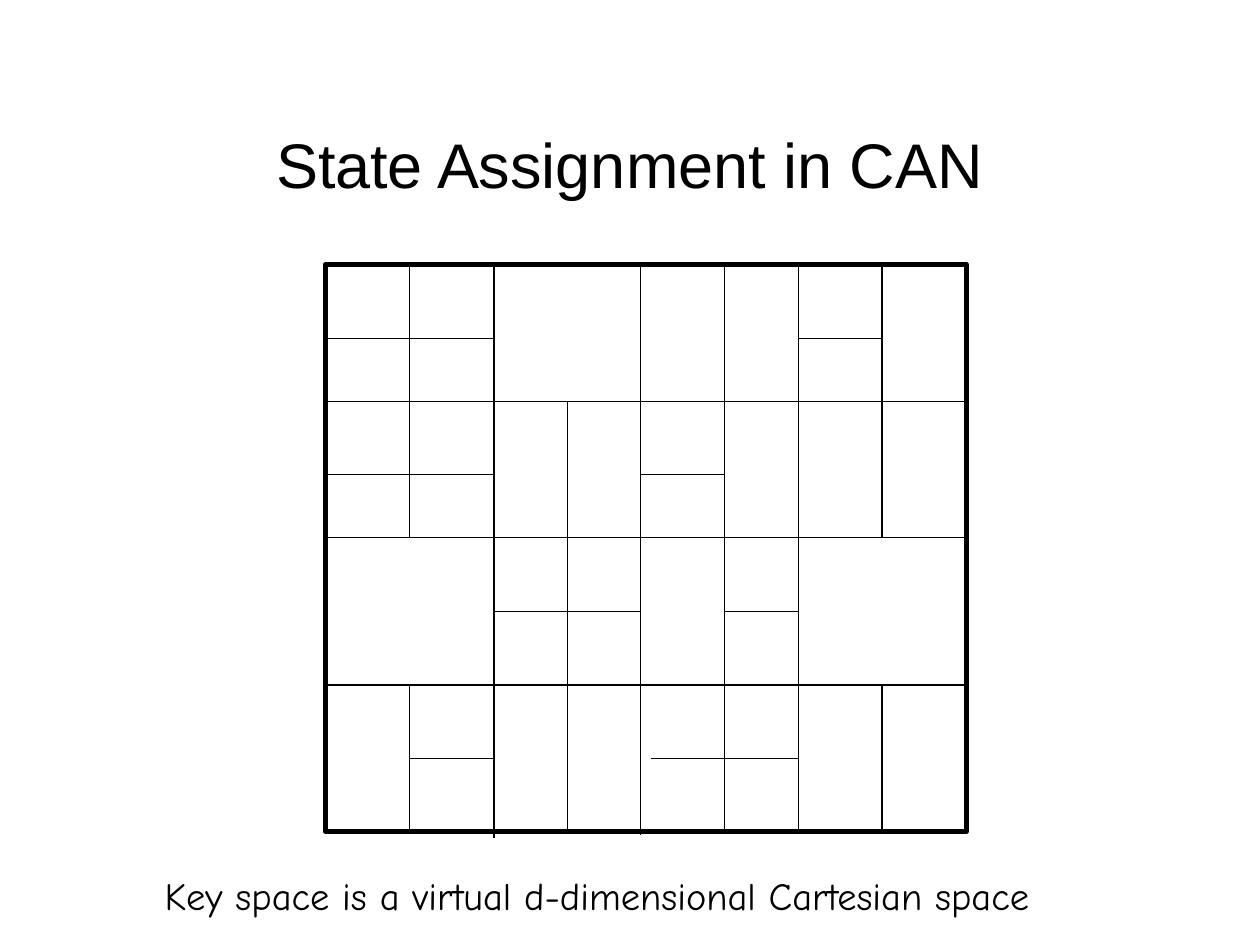
import pptx
import pptx.util
import pptx.dml.color
import pptx.enum.shapes
import pptx.enum.text
import pptx.oxml.ns
from lxml import etree
from pptx.util import Cm, Pt

BLACK = "000000"

# Grid positions in cm, measured from the top left corner of the key space
COLUMNS = [0, 1.7, 3.4, 4.88, 6.35, 8.05, 9.53, 11.22, 12.92]
ROWS = [0, 1.5, 2.77, 4.24, 5.51, 6.99, 8.48, 9.96, 11.43]

# (column, first row, last row, cm added to the start, cm added to the end)
VERTICAL_SPLITS = [
    (4, 0, 8, -0.05, 0.08), (6, 0, 8, 0, 0), (2, 0, 8, 0, 0.13),
    (1, 0, 2, 0, 0), (5, 0, 2, 0, 0), (7, 0, 2, 0, 0),
    (1, 2, 4, 0, 0), (3, 2, 4, 0, 0), (5, 2, 4, 0, 0), (7, 2, 4, 0, 0),
    (3, 4, 6, 0, 0), (5, 4, 6, 0, 0.64),
    (1, 6, 8, 0, 0), (3, 6, 8, 0, 0), (5, 6, 8, 0, 0), (7, 6, 8, 0, 0),
]
# (row, first column, last column, cm added to the start)
HORIZONTAL_SPLITS = [
    (2, 0, 8, 0), (4, 0, 8, 0), (6, 0, 8, 0),
    (1, 0, 2, 0), (1, 6, 7, 0), (3, 0, 2, 0), (3, 4, 5, 0),
    (5, 2, 4, 0), (5, 5, 6, 0), (7, 1, 2, 0), (7, 4, 6, 0.22),
]


def color(hex_value):
    return pptx.dml.color.RGBColor.from_string(hex_value)


def add_text(slide, box, text, font, size, align, wrap):
    left, top, width, height = box
    frame = slide.shapes.add_textbox(Cm(left), Cm(top), Cm(width), Cm(height)).text_frame
    frame.word_wrap = wrap
    frame.vertical_anchor = pptx.enum.text.MSO_ANCHOR.MIDDLE
    paragraph = frame.paragraphs[0]
    paragraph.alignment = align
    run = paragraph.add_run()
    run.text = text
    run.font.name = font
    run.font.size = Pt(size)
    run.font.color.rgb = color(BLACK)


def add_split(group, x1, y1, x2, y2):
    split = group.shapes.add_connector(
        pptx.enum.shapes.MSO_CONNECTOR.STRAIGHT, Cm(x1), Cm(y1), Cm(x2), Cm(y2))
    split.line.color.rgb = color(BLACK)
    split.line.width = Pt(0.75)
    etree.SubElement(split._element.spPr, pptx.oxml.ns.qn("a:effectLst"))


def add_key_space(slide, left, top):
    """Draw the outer zone and the lines that split it among the nodes."""
    group = slide.shapes.add_group_shape()
    zone = group.shapes.add_shape(
        pptx.enum.shapes.MSO_SHAPE.RECTANGLE,
        Cm(left), Cm(top), Cm(COLUMNS[-1]), Cm(ROWS[-1]))
    zone.shadow.inherit = False
    zone.fill.background()
    zone.line.color.rgb = color(BLACK)
    zone.line.width = Pt(3)

    for column, first, last, lead, tail in VERTICAL_SPLITS:
        x = left + COLUMNS[column]
        add_split(group, x, top + ROWS[first] + lead, x, top + ROWS[last] + tail)
    for row, first, last, lead in HORIZONTAL_SPLITS:
        y = top + ROWS[row]
        add_split(group, left + COLUMNS[first] + lead, y, left + COLUMNS[last], y)


def main():
    deck = pptx.Presentation()
    deck.slide_width, deck.slide_height = Cm(25.4), Cm(19.05)
    slide = deck.slides.add_slide(deck.slide_layouts[6])
    add_text(slide, (1.9, 1.7, 21.59, 3.18), "State Assignment in CAN",
             "Arial", 36, pptx.enum.text.PP_ALIGN.CENTER, True)
    add_key_space(slide, 6.56, 5.33)
    add_text(slide, (3.07, 17.45, 17.96, 1.19),
             "Key space is a virtual d-dimensional Cartesian space",
             "Comic Neue", 22, pptx.enum.text.PP_ALIGN.LEFT, False)
    deck.save("out.pptx")


if __name__ == "__main__":
    main()
